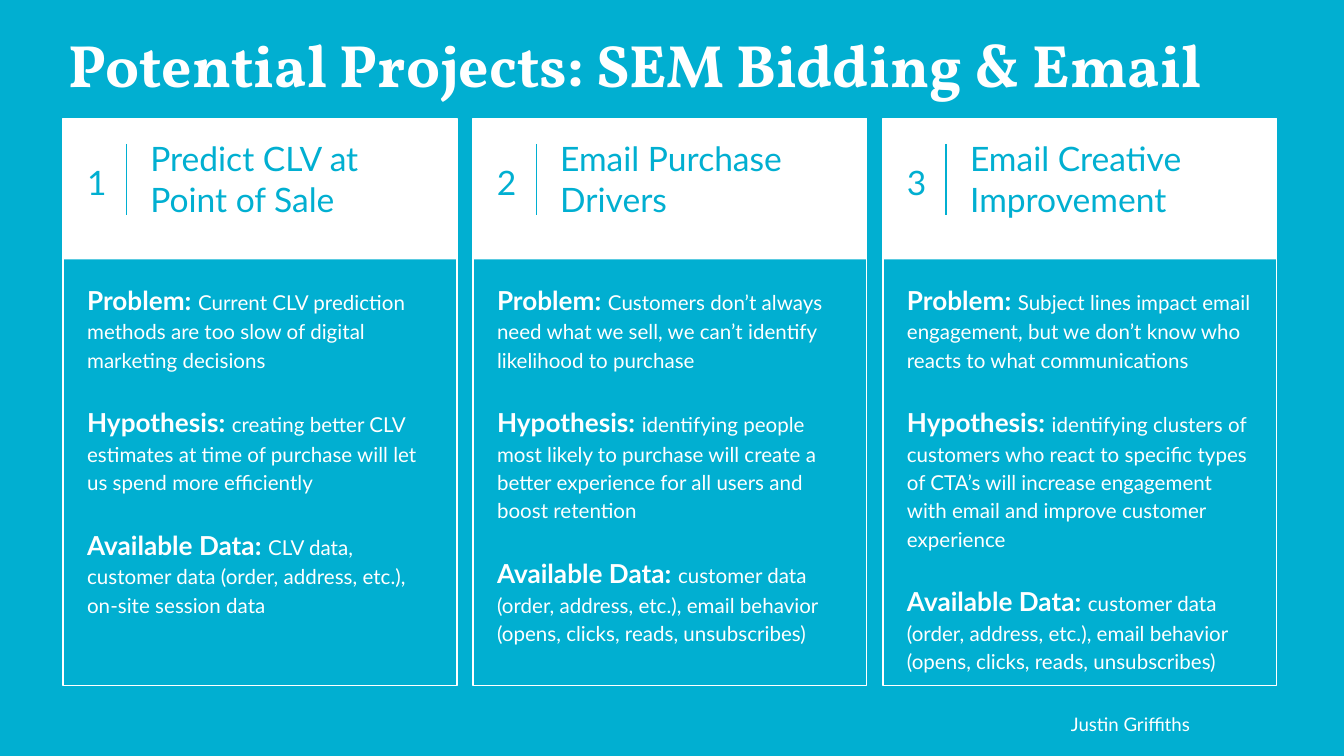
"""Build a slide with three project cards."""
from lxml import etree
from pptx import Presentation
from pptx import util as u
from pptx.dml.color import RGBColor
from pptx.enum import shapes, text
from pptx.oxml.ns import qn

BLUE, WHITE = "01AFD1", "FFFFFF"
TITLE = "Potential Projects: SEM Bidding & Email"
AUTHOR = "Justin Griffiths"
LABELS = ["Problem:", "Hypothesis:", "Available Data:"]
EMAIL = ("customer data (order, address, etc.), email behavior "
         "(opens, clicks, reads, unsubscribes)")
CARDS = [
    ("Predict CLV at Point of Sale", [
        "Current CLV prediction methods are too slow of digital marketing decisions",
        "creating better CLV estimates at time of purchase will let us spend "
        "more efficiently",
        "CLV data, customer data (order, address, etc.), on-site session data"]),
    ("Email Purchase Drivers", [
        "Customers don’t always need what we sell, we can’t identify likelihood "
        "to purchase",
        "identifying people most likely to purchase will create a better "
        "experience for all users and boost retention",
        EMAIL]),
    ("Email Creative Improvement", [
        "Subject lines impact email engagement, but we don’t know who reacts to "
        "what communications",
        "identifying clusters of customers who react to specific types of CTA’s "
        "will increase engagement with email and improve customer experience",
        EMAIL]),
]
LEFT, TOP, WIDE, STEP = 0.47, 0.88, 2.93, 3.05

deck = Presentation()
deck.slide_width = u.Inches(10)
deck.slide_height = deck.slide_width * 9 // 16
slide = deck.slides.add_slide(deck.slide_layouts[6])


def tint(code):
    """Turn a hex string into a colour."""
    return RGBColor.from_string(code)


def write(paras, *at, color=WHITE, font="Lato", anchor="TOP", align="LEFT",
          gap=1.0, after=0):
    """Add a text box of paragraphs, each a list of (words, size, bold)."""
    box = slide.shapes.add_textbox(*map(u.Inches, at))
    frame = box.text_frame
    frame.word_wrap = True
    frame.vertical_anchor = text.MSO_ANCHOR[anchor]
    for side in ("left", "top", "right", "bottom"):
        setattr(frame, "margin_" + side, u.Inches(0.1))
    for i, runs in enumerate(paras):
        para = frame.add_paragraph() if i else frame.paragraphs[0]
        para.alignment = text.PP_ALIGN[align]
        para.line_spacing, para.space_after = gap, u.Pt(after)
        for words, size, bold in runs:
            run = para.add_run()
            run.text = words
            run.font.name, run.font.size, run.font.bold = font, u.Pt(size), bold
            run.font.color.rgb = tint(color)


def panel(*at, fill=None):
    """Add a filled panel, or a white outline when there is no fill."""
    rect = slide.shapes.add_shape(shapes.MSO_SHAPE.RECTANGLE, *map(u.Inches, at))
    rect.shadow.inherit = False
    if fill:
        rect.fill.solid()
        rect.fill.fore_color.rgb = tint(fill)
        rect.line.fill.background()
    else:
        rect.fill.background()
        rect.line.color.rgb = tint(WHITE)
        rect.line.width = u.Pt(0.75)


def rule(x, top, end):
    """Add a thin upright line."""
    line = slide.shapes.add_connector(
        shapes.MSO_CONNECTOR.STRAIGHT, *map(u.Inches, (x, top, x, end)))
    line.line.color.rgb = tint(BLUE)
    line.line.width = u.Pt(0.75)
    etree.SubElement(line._element.spPr, qn("a:effectLst"))


slide.background.fill.solid()
slide.background.fill.fore_color.rgb = tint(BLUE)
write([[(AUTHOR, 10, False)]], 7.87, 5.22, 1.69, 0.33)
write([[(TITLE, 32, True)]], 0.41, 0.11, 9.15, 0.75, font="Vollkorn")

for i, (name, notes) in enumerate(CARDS):
    x = LEFT + i * STEP
    panel(x, TOP, WIDE, 4.22)
    panel(x, TOP, WIDE, 1.05, fill=WHITE)
    write([[(str(i + 1), 18, False)]], x + 0.06, TOP, 0.38, 0.9,
          color=BLUE, anchor="MIDDLE", align="CENTER", gap=1.15)
    rule(x + 0.47, 1.07, 1.6)
    write([[(name, 18, False)]], x + 0.55, TOP, 2.3, 0.9,
          color=BLUE, anchor="MIDDLE")
    body = [[(label + " ", 14, True), (note, 11, False)]
            for label, note in zip(LABELS, notes)]
    write(body, x + 0.08, 1.98, 2.77, 3.08, gap=1.15, after=16)

deck.save("out.pptx")
